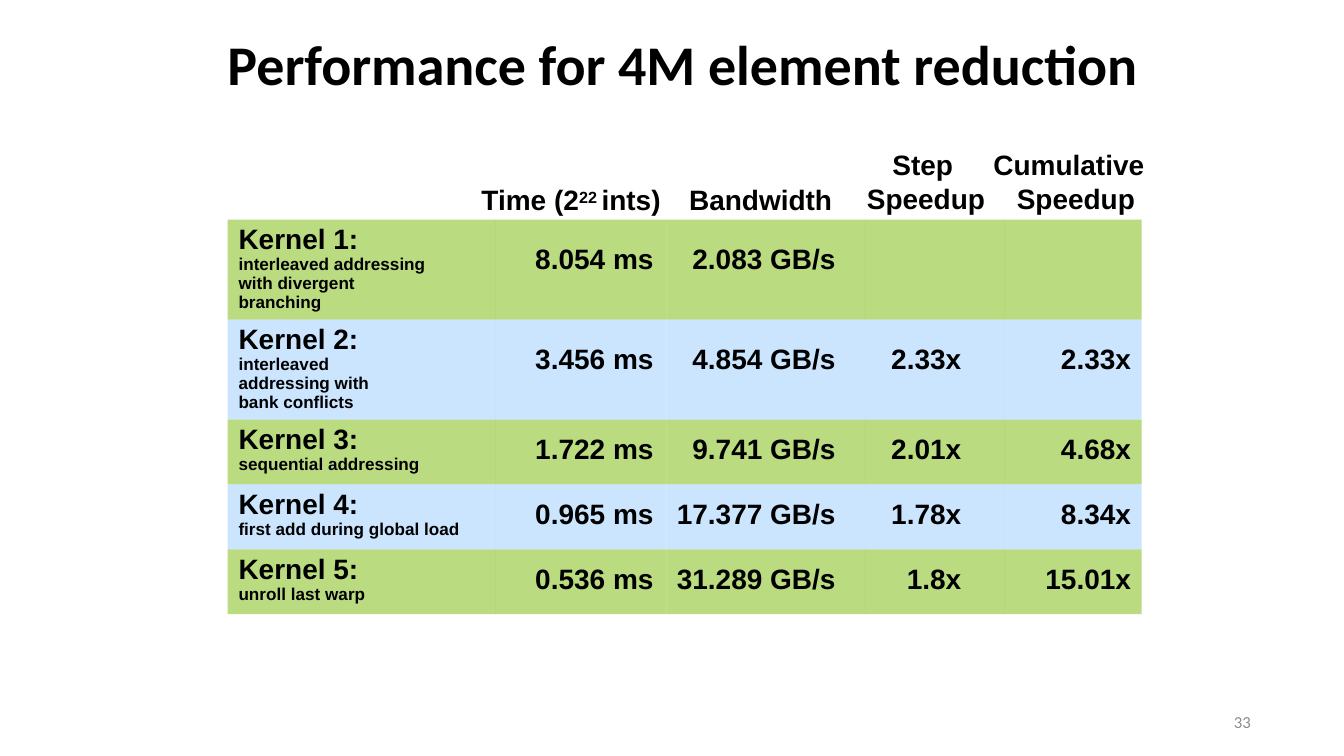
from pptx import Presentation
from pptx.dml.color import RGBColor
from pptx.enum.text import MSO_ANCHOR, PP_ALIGN
from pptx.oxml.ns import qn
from pptx.util import Cm, Pt
from lxml import etree

LEFT, RIGHT = PP_ALIGN.LEFT, PP_ALIGN.RIGHT
TOP, MIDDLE = MSO_ANCHOR.TOP, MSO_ANCHOR.MIDDLE
BLACK = RGBColor(0x00, 0x00, 0x00)
GRAY = RGBColor(0x8C, 0x8C, 0x8C)
GREEN = RGBColor(0x76, 0xB8, 0x00)
BLUE = RGBColor(0x99, 0xCC, 0xFF)
NO_STYLE = "{2D5ABB26-0587-4C30-8999-92F81FD0307C}"

# Content: text between carets is superscript, a line end is a line break
TITLE = "Performance for 4M element reduction"
PAGE = "33"
# text, left, width, left margin, first-line indent (cm)
HEADS = [
    ("Time (2^22 ^ints)", 10.82, 4.67, 0.1, 0),
    ("Bandwidth", 15.6, 3.35, 0.03, 0),
    ("Step\nSpeedup", 19.63, 2.87, 0.03, 0.58),
    ("Cumulative\nSpeedup", 22.5, 3.56, 0.56, -0.53),
]
ROWS = [
    ("Kernel 1:", "interleaved addressing\nwith divergent\nbranching",
     "8.054 ms", "2.083 GB/s", "", ""),
    ("Kernel 2:", "interleaved\naddressing with\nbank conflicts",
     "3.456 ms", "4.854 GB/s", "2.33x", "2.33x"),
    ("Kernel 3:", "sequential addressing",
     "1.722 ms", "9.741 GB/s", "2.01x", "4.68x"),
    ("Kernel 4:", "first add during global load",
     "0.965 ms", "17.377 GB/s", "1.78x", "8.34x"),
    ("Kernel 5:", "unroll last warp",
     "0.536 ms", "31.289 GB/s", "1.8x", "15.01x"),
]

# Layout in cm
LEFT_X, TABLE_Y, HEAD_END = 5.16, 4.98, 4.9
COLS = [6.07, 3.89, 4.52, 3.15, 3.1]
PADS = [0.3, 0.69, 0.99, 0.24]  # right margins of the value columns
TALL, SHORT = 2.27, 1.47        # row heights
LINE = 0.79                     # height of a heading line


def write(para, text, size=18, font="Arial", color=BLACK, bold=True,
          align=LEFT, margin=0, indent=0, spacing=None):
    """Fill a paragraph, with line breaks and superscripts."""
    props = para._p.get_or_add_pPr()
    props.set("marL", str(Cm(margin)))
    props.set("indent", str(Cm(indent)))
    para.alignment = align
    if spacing:
        para.line_spacing = spacing
    for row, line in enumerate(text.split("\n")):
        if row:
            para.add_line_break()
        for part, piece in enumerate(line.split("^")):
            run = para.add_run()
            run.text = piece
            run.font.size, run.font.name = Pt(size), font
            run.font.bold, run.font.color.rgb = bold, color
            if part % 2:
                run._r.get_or_add_rPr().set("baseline", "25000")


def add_box(slide, text, x, y, w, h, anchor=TOP, **form):
    frame = slide.shapes.add_textbox(Cm(x), Cm(y), Cm(w), Cm(h)).text_frame
    frame.word_wrap, frame.vertical_anchor = True, anchor
    frame.margin_left = frame.margin_right = frame.margin_bottom = 0
    frame.margin_top = Cm(0.03) if anchor == TOP else 0
    write(frame.paragraphs[0], text, **form)


def tint(cell, color):
    """Half-transparent cell fill."""
    cell.fill.solid()
    cell.fill.fore_color.rgb = color
    paint = cell._tc.tcPr.find(".//" + qn("a:srgbClr"))
    etree.SubElement(paint, qn("a:alpha")).set("val", "50000")


def add_grid(slide):
    table = slide.shapes.add_table(
        len(ROWS), len(COLS), Cm(LEFT_X), Cm(TABLE_Y),
        Cm(sum(COLS)), Cm(2 * TALL + 3 * SHORT)).table
    table.first_row = table.horz_banding = False
    table._tbl.tblPr.find(qn("a:tableStyleId")).text = NO_STYLE
    for col, width in zip(table.columns, COLS):
        col.width = Cm(width)

    for r, (name, note, *values) in enumerate(ROWS):
        tall = "\n" in note
        table.rows[r].height = Cm(TALL if tall else SHORT)
        for c in range(len(COLS)):
            cell = table.cell(r, c)
            tint(cell, BLUE if r % 2 else GREEN)
            cell.margin_left = cell.margin_right = cell.margin_bottom = 0
            cell.margin_top = Cm(0.1 if c == 0 else 0.56 if tall else 0.33)
            para = cell.text_frame.paragraphs[0]
            if c == 0:
                write(para, name, margin=0.25)
                write(cell.text_frame.add_paragraph(), note,
                      size=11, margin=0.25)
            elif values[c - 1]:
                cell.margin_right = Cm(PADS[c - 1])
                write(para, values[c - 1], align=RIGHT)


def main():
    deck = Presentation()
    deck.slide_width, deck.slide_height = Cm(30.48), Cm(17.15)
    slide = deck.slides.add_slide(deck.slide_layouts[6])

    # Title
    add_box(slide, TITLE, LEFT_X, 0.81, 23.01, 1.42, anchor=MIDDLE,
            size=36, font="Calibri", spacing=0.9)

    # Table and the headings that stand on it
    add_grid(slide)
    for text, x, width, margin, indent in HEADS:
        high = LINE * len(text.split("\n"))
        add_box(slide, text, x, HEAD_END - high, width, high,
                margin=margin, indent=indent)

    # Page number
    add_box(slide, PAGE, 21.51, 15.9, 6.86, 0.91, anchor=MIDDLE, size=10.8,
            font="Calibri", color=GRAY, bold=False, align=RIGHT,
            spacing=Pt(14.2))

    deck.save("out.pptx")


if __name__ == "__main__":
    main()
